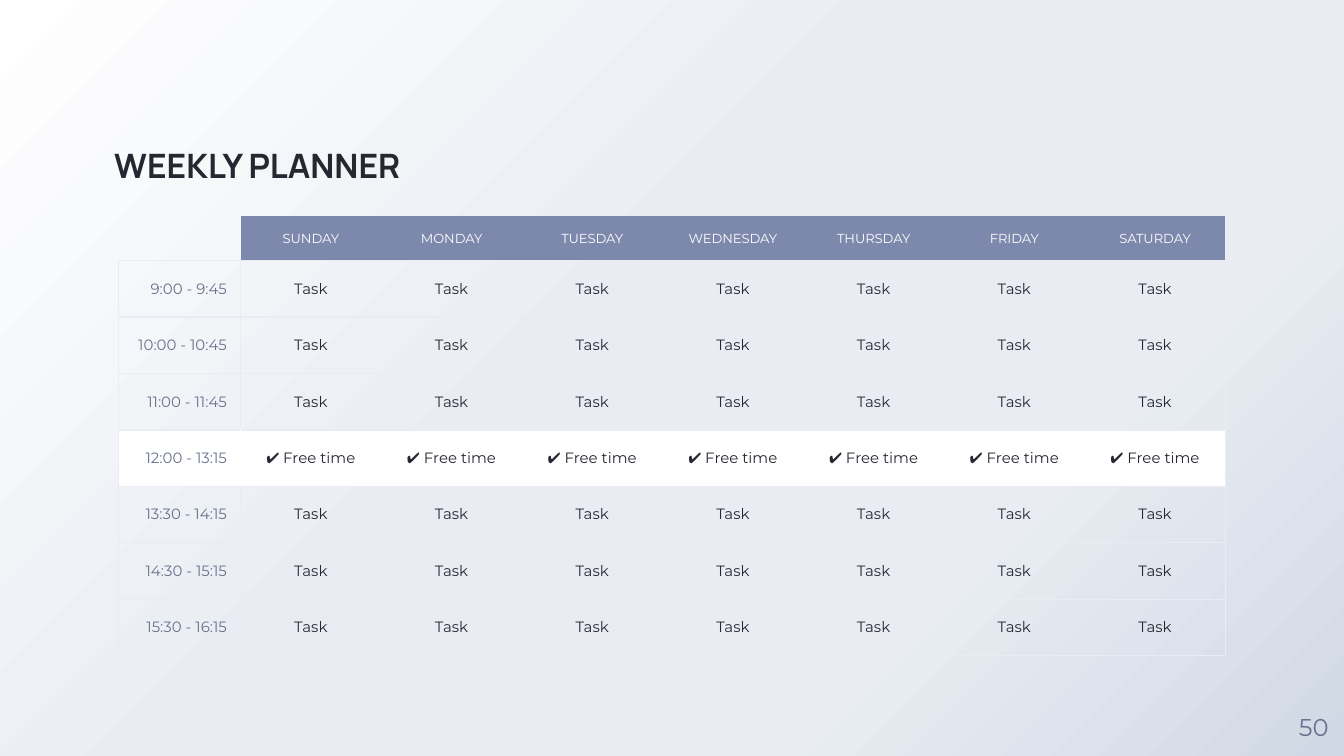
"""Build the weekly planner slide with its timetable."""
import pptx
import pptx.dml.color
import pptx.enum.text
import pptx.oxml
import pptx.oxml.ns
import pptx.util
from lxml import etree

Inches = pptx.util.Inches
Pt = pptx.util.Pt
qn = pptx.oxml.ns.qn
Align = pptx.enum.text.PP_ALIGN
Anchor = pptx.enum.text.MSO_ANCHOR

COLORS = {
    "ink": "252831",
    "muted": "68728D",
    "header": "7D89AC",
    "rule": "E9EDF3",
    "white": "FFFFFF",
    "haze": "D0D8E5",
}
DAYS = ["SUNDAY", "MONDAY", "TUESDAY", "WEDNESDAY", "THURSDAY", "FRIDAY", "SATURDAY"]
HOURS = ["9:00 - 9:45", "10:00 - 10:45", "11:00 - 11:45", "12:00 - 13:15",
         "13:30 - 14:15", "14:30 - 15:15", "15:30 - 16:15"]
BREAK = "12:00 - 13:15"
NO_STYLE = "{2D5ABB26-0587-4C30-8999-92F81FD0307C}"
TABLE_WIDTH, HOUR_WIDTH = 8.24, 0.91
HEADER_HEIGHT, ROW_HEIGHT = 0.33, 0.42


def rgb(color):
    """Return the named colour as an RGBColor."""
    return pptx.dml.color.RGBColor.from_string(COLORS[color])


def write(frame, text, size=8, color="ink", font="Montserrat", bold=False, align=Align.CENTER):
    """Write one formatted paragraph into a text frame."""
    paragraph = frame.paragraphs[0]
    paragraph.alignment = align
    run = paragraph.add_run()
    run.text = text
    run.font.size = Pt(size)
    run.font.name = font
    run.font.bold = bold
    run.font.color.rgb = rgb(color)


def set_frame(frame, anchor):
    """Give a text frame zero insets, wrapping and a fixed size."""
    frame.margin_left = frame.margin_right = frame.margin_top = frame.margin_bottom = 0
    frame.word_wrap = True
    frame.auto_size = pptx.enum.text.MSO_AUTO_SIZE.NONE
    frame.vertical_anchor = anchor


def paint_background(slide):
    """Fill the background with a gradient spreading from the top left corner."""
    slide.background.fill.gradient()
    gradient = slide.element.find(".//" + qn("a:gradFill"))
    stops = [(0, "white"), (44, "rule"), (72, "rule"), (100, "haze")]
    stop_xml = "".join(
        f'<a:gs pos="{position * 1000}"><a:srgbClr val="{COLORS[color]}"/></a:gs>'
        for position, color in stops)
    gradient.getparent().replace(gradient, pptx.oxml.parse_xml(
        f'<a:gradFill {pptx.oxml.ns.nsdecls("a")}><a:gsLst>{stop_xml}</a:gsLst>'
        '<a:path path="circle"><a:fillToRect r="100000" b="100000"/></a:path></a:gradFill>'))


def add_title(slide, text):
    """Place the slide title."""
    title = slide.shapes.title
    title.left, title.top, title.width, title.height = map(Inches, (0.85, 0.44, 3.92, 0.94))
    set_frame(title.text_frame, Anchor.BOTTOM)
    write(title.text_frame, text, size=18, font="Manrope", bold=True, align=Align.LEFT)


def add_page_number(slide, number):
    """Place the page number in the bottom right corner."""
    page = slide.shapes.add_textbox(*map(Inches, (9.55, 5.18, 0.45, 0.45)))
    set_frame(page.text_frame, Anchor.MIDDLE)
    write(page.text_frame, number, size=13, color="muted")


def format_cell(cell, fill=None, **borders):
    """Set a cell's margins, fill and the borders named L, R, T and B."""
    cell.margin_left = cell.margin_right = cell.margin_top = cell.margin_bottom = Inches(0.1)
    cell.vertical_anchor = Anchor.MIDDLE
    properties = cell._tc.get_or_add_tcPr()
    for side in "LRTB":
        line = etree.SubElement(properties, qn(f"a:ln{side}"), w=str(Pt(0.75)))
        if side in borders:
            solid = etree.SubElement(line, qn("a:solidFill"))
            etree.SubElement(solid, qn("a:srgbClr"), val=COLORS[borders[side]])
        else:
            etree.SubElement(line, qn("a:noFill"))
    if fill:
        cell.fill.solid()
        cell.fill.fore_color.rgb = rgb(fill)
    else:
        cell.fill.background()


def fill_header(planner):
    """Write the weekday row, leaving its corner empty."""
    corner = planner.cell(0, 0)
    format_cell(corner, B="rule")
    etree.SubElement(corner.text_frame.paragraphs[0]._p, qn("a:endParaRPr"), sz="700")
    for column, day in enumerate(DAYS, 1):
        cell = planner.cell(0, column)
        format_cell(cell, fill="header", B="rule")
        write(cell.text_frame, day, size=7, color="white")


def fill_hour(planner, row, hour):
    """Write one hour and its entry for every day."""
    is_break = hour == BREAK
    fill = "white" if is_break else None
    divider = "white" if is_break else "rule"
    entry = "✔ Free time" if is_break else "Task"
    hour_cell = planner.cell(row, 0)
    format_cell(hour_cell, fill=fill, L="rule", R=divider, T="rule", B="rule")
    write(hour_cell.text_frame, hour, color="muted", align=Align.RIGHT)
    for column in range(1, len(DAYS) + 1):
        borders = {"T": "rule", "B": "rule"}
        if column == 1:
            borders["L"] = divider
        if column == len(DAYS):
            borders["R"] = "rule"
        cell = planner.cell(row, column)
        format_cell(cell, fill=fill, **borders)
        write(cell.text_frame, entry)


def add_planner(slide):
    """Add the timetable of hours by weekdays."""
    height = HEADER_HEIGHT + ROW_HEIGHT * len(HOURS)
    planner = slide.shapes.add_table(
        len(HOURS) + 1, len(DAYS) + 1,
        Inches(0.88), Inches(1.61), Inches(TABLE_WIDTH), Inches(height)).table
    planner.first_row = planner.horz_banding = False
    planner._tbl.tblPr.find(qn("a:tableStyleId")).text = NO_STYLE
    day_width = (TABLE_WIDTH - HOUR_WIDTH) / len(DAYS)
    for index, column in enumerate(planner.columns):
        column.width = Inches(day_width if index else HOUR_WIDTH)
    for index, row in enumerate(planner.rows):
        row.height = Inches(ROW_HEIGHT if index else HEADER_HEIGHT)
    fill_header(planner)
    for row, hour in enumerate(HOURS, 1):
        fill_hour(planner, row, hour)


def main():
    """Build and save the presentation."""
    presentation = pptx.Presentation()
    presentation.slide_width = Inches(10)
    presentation.slide_height = Inches(10) * 9 // 16
    slide = presentation.slides.add_slide(presentation.slide_layouts[5])
    paint_background(slide)
    add_title(slide, "WEEKLY PLANNER")
    add_page_number(slide, "50")
    add_planner(slide)
    presentation.save("out.pptx")


if __name__ == "__main__":
    main()
